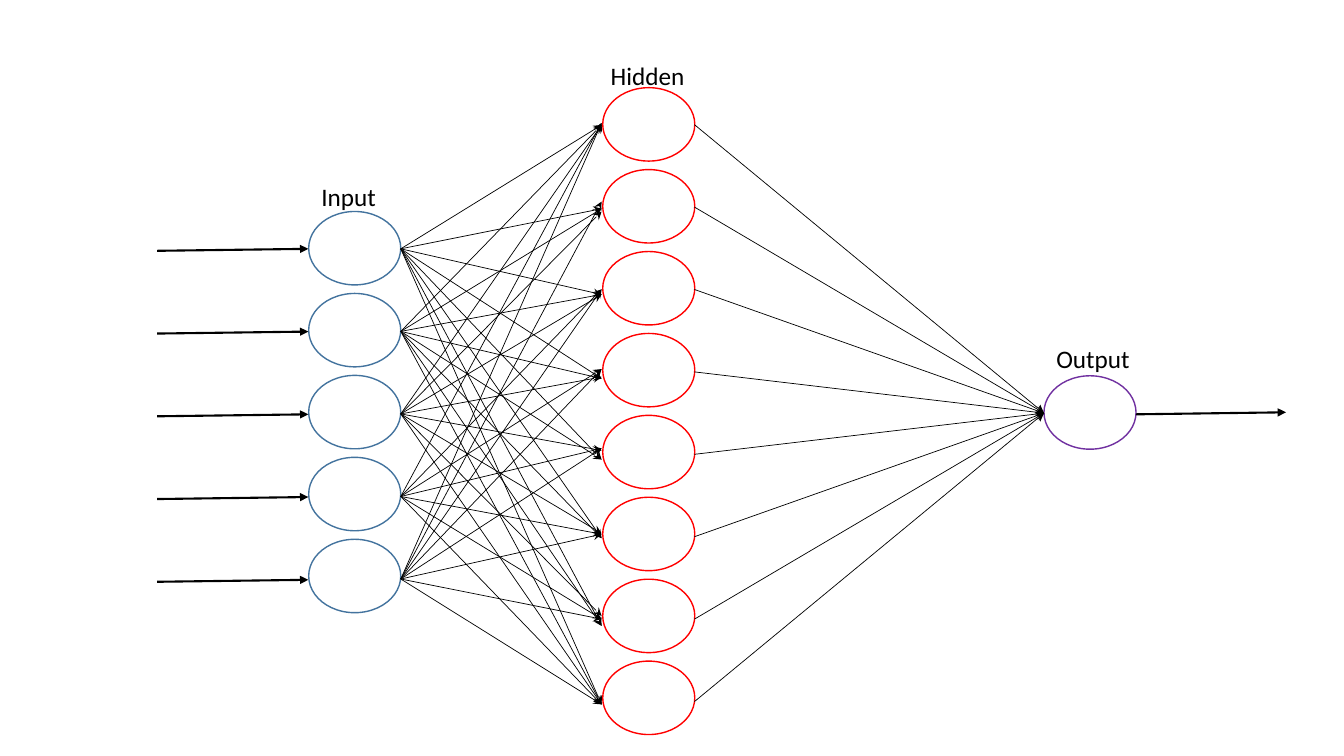
from dataclasses import dataclass

from lxml.etree import SubElement
from pptx import Presentation
from pptx.dml.color import RGBColor
from pptx.enum.shapes import MSO_CONNECTOR as Connector, MSO_SHAPE as Preset
from pptx.enum.text import MSO_AUTO_SIZE as AutoSize, PP_ALIGN as Align
from pptx.oxml.ns import qn
from pptx.util import Cm, Pt


@dataclass(frozen=True)
class Theme:
    """Colours, type and line sizes of the slide."""
    font: str = "Calibri"
    label_size: float = 18
    ink: str = "000000"
    paper: str = "FFFFFF"
    input: str = "43739E"
    hidden: str = "FF0000"
    output: str = "7030A0"
    outline: float = 1
    thin: float = 0.5
    thick: float = 1.5


@dataclass(frozen=True)
class Box:
    """A region of the slide in centimetres."""
    left: float
    top: float
    width: float
    height: float


THEME = Theme()
NODE_HEIGHT = 1.85
INPUT_COUNT, HIDDEN_COUNT = 5, 8
UPPER_FAN = (0.05, 2.16, 4.32, 6.44, 8.48, 10.46, 12.67, 14.65)
MIDDLE_FAN = (0.05, 2.23, 4.32, 6.4, 8.25, 10.34, 12.42, 14.65)
LOWER_FAN = (0, 1.98, 4.19, 6.2, 8.2, 10.36, 12.5, 14.65)
FANS = (UPPER_FAN, UPPER_FAN, MIDDLE_FAN, LOWER_FAN, LOWER_FAN)
UNLINKED = (3, 1)


def rows(height, count):
    """Return evenly spaced offsets from zero to the height."""
    return [height * index / max(count - 1, 1) for index in range(count)]


def add_text(slide, box, text, size=THEME.label_size, color=THEME.ink, align=Align.LEFT):
    """Add a text box with one formatted line."""
    shape = slide.shapes.add_textbox(Cm(box.left), Cm(box.top), Cm(box.width), Cm(box.height))
    frame = shape.text_frame
    frame.word_wrap = True
    frame.auto_size = AutoSize.SHAPE_TO_FIT_TEXT
    paragraph = frame.paragraphs[0]
    paragraph.alignment = align
    run = paragraph.add_run()
    run.text = text
    run.font.name = THEME.font
    run.font.size = Pt(size)
    run.font.color.rgb = RGBColor.from_string(color)


def add_arrow(slide, start, end, width, head):
    """Add a straight arrow between two points."""
    points = [Cm(value) for value in (*start, *end)]
    connector = slide.shapes.add_connector(Connector.STRAIGHT, *points)
    connector.line.width = Pt(width)
    connector.line.color.rgb = RGBColor.from_string(THEME.ink)
    SubElement(connector.line._get_or_add_ln(), qn("a:tailEnd"), type=head)
    SubElement(connector._element.spPr, qn("a:effectLst"))


def draw_layer(slide, box, count, color):
    """Draw a column of neurons that fills the box."""
    for offset in rows(box.height - NODE_HEIGHT, count):
        shape = slide.shapes.add_shape(
            Preset.OVAL, Cm(box.left), Cm(box.top + offset), Cm(box.width), Cm(NODE_HEIGHT))
        shape.shadow.inherit = False
        shape.fill.solid()
        shape.fill.fore_color.rgb = RGBColor.from_string(THEME.paper)
        shape.line.color.rgb = RGBColor.from_string(color)
        shape.line.width = Pt(THEME.outline)


def draw_input_links(slide, box):
    """Link the input neurons on the left to the hidden ones on the right."""
    span = 8.32
    first = box.top + 3.17
    for source, (offset, fan) in enumerate(zip(rows(span, INPUT_COUNT), FANS)):
        for target, height in enumerate(fan):
            if (source, target) != UNLINKED:
                add_arrow(slide, (box.left, first + offset),
                          (box.left + box.width, box.top + height), THEME.thin, "stealth")


def draw_output_links(slide, box):
    """Link the hidden neurons on the left to the one output neuron."""
    target = (box.left + box.width, box.top + box.height / 2)
    for offset in rows(box.height, HIDDEN_COUNT):
        add_arrow(slide, (box.left, box.top + offset), target, THEME.thin, "stealth")


def draw_signals(slide, box, count):
    """Draw thick signal arrows, evenly spaced down the box."""
    rise = 0.05
    for offset in rows(box.height, count):
        y = box.top + offset
        add_arrow(slide, (box.left, y), (box.left + box.width, y - rise), THEME.thick, "triangle")


def main():
    """Build and save the neural network slide."""
    presentation = Presentation()
    presentation.slide_width, presentation.slide_height = Cm(33.87), Cm(19.05)
    slide = presentation.slides.add_slide(presentation.slide_layouts[6])

    add_text(slide, Box(15.14, 1.4, 3.56, 1.02), "Hidden")
    add_text(slide, Box(7.85, 4.45, 2.59, 1.02), "Input")
    draw_layer(slide, Box(7.78, 5.33, 2.32, 10.11), INPUT_COUNT, THEME.input)
    draw_layer(slide, Box(15.19, 2.21, 2.32, 16.3), HIDDEN_COUNT, THEME.hidden)
    draw_layer(slide, Box(26.31, 9.47, 2.32, NODE_HEIGHT), 1, THEME.output)
    draw_input_links(slide, Box(10.1, 3.1, 5.06, 14.65))
    draw_output_links(slide, Box(17.5, 3.14, 8.81, 14.54))
    draw_signals(slide, Box(3.96, 6.32, 3.81, 8.34), INPUT_COUNT)
    draw_signals(slide, Box(28.63, 10.44, 3.78, 0), 1)
    add_text(slide, Box(26.37, 8.53, 3.56, 1.02), "Output")
    presentation.save("out.pptx")


main()
